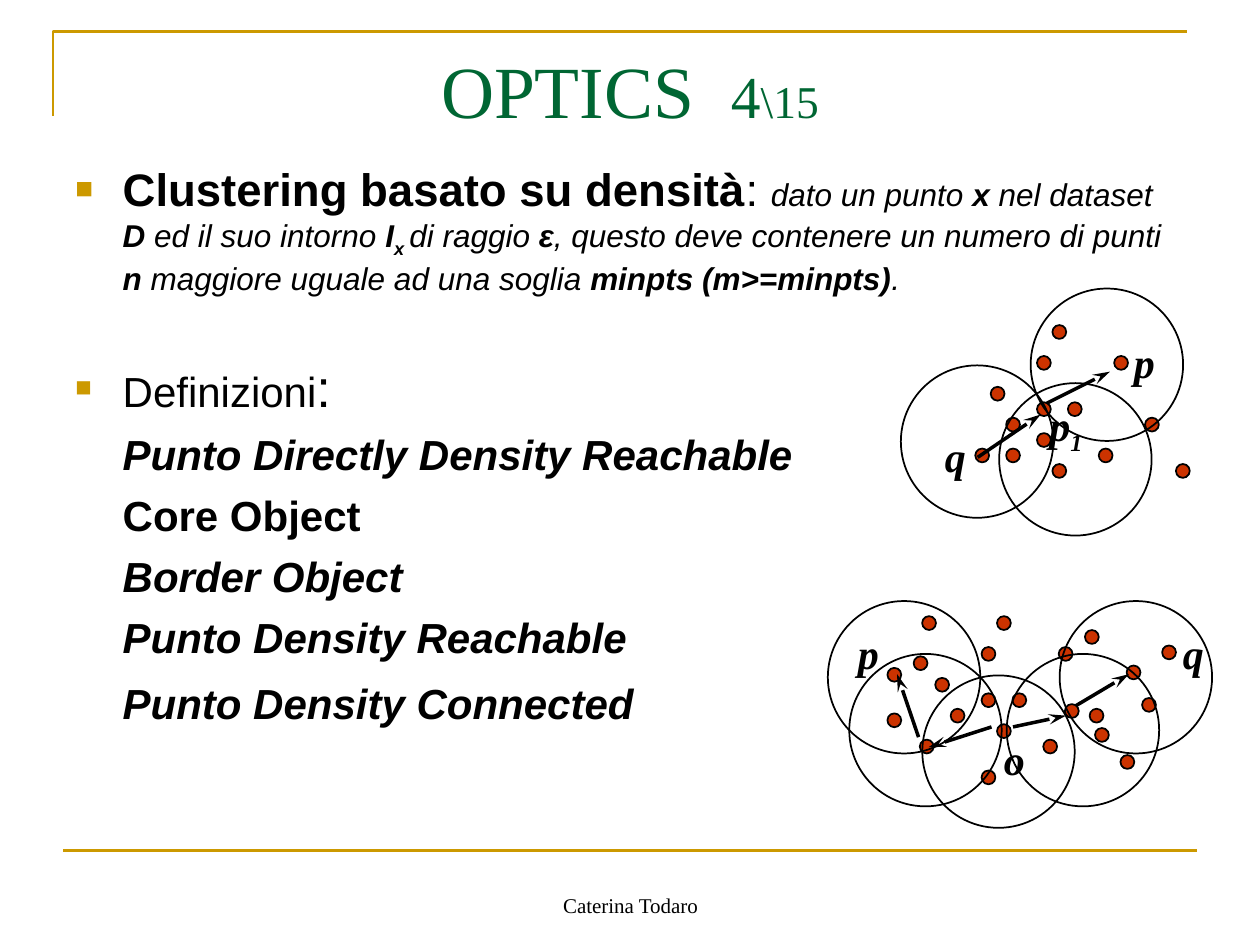
from dataclasses import dataclass
from lxml.etree import SubElement
from pptx import Presentation
from pptx.dml.color import RGBColor
from pptx.enum.shapes import MSO_CONNECTOR as Connector, MSO_SHAPE as Shape
from pptx.enum.text import MSO_ANCHOR as Anchor, PP_ALIGN as Align
from pptx.oxml.ns import qn
from pptx.util import Inches, Pt

BLACK, GOLD, GREEN, RED = "000000", "CC9900", "006633", "CC3300"
SERIF, SANS = "Times New Roman", "Arial"
STEP, DOT, RING = 0.1225, 0.11, 1.21
MARGIN = 0.375

Cell = tuple[float, float]


@dataclass
class Label:
    """A point's name, with an optional subscript, at a grid cell."""
    cell: Cell
    text: str
    sub: str = ""
    width: float = 0.42
    height: float = 0.5


@dataclass
class Cluster:
    """A point cloud on a square grid; arrows run from tail to tip."""
    origin: Cell
    dots: list[Cell]
    rings: list[Cell]
    arrows: list[tuple[Cell, Cell]]
    labels: list[Label]

    def at(self, cell: Cell) -> list[int]:
        """Turn a column and row into slide lengths."""
        return [Inches(o + STEP * n) for o, n in zip(self.origin, cell)]


@dataclass
class Para:
    """A body paragraph: runs of text and format, space before, bullet."""
    runs: list[tuple[str, dict]]
    before: float = 0
    bullet: bool = False


COMMON = [(1, 4), (4, 5), (4, 2), (0, 8), (2, 6), (5, 0), (11, 6), (9, 2),
          (6, 5), (8, 8), (13, 9)]

REACHABLE = Cluster(
    (7.74, 2.58),
    COMMON + [(2, 8), (5, 9), (4, 7)],
    [(1.55, 3.76), (-4.82, 2.61), (3.59, -2.37)],
    [((4.65, 5.06), (8.73, 3.02)), ((0.16, 8.57), (4.24, 5.8))],
    [Label((9.47, 0.33), "p"), Label((-2.78, 6.45), "q"),
     Label((4, 4.41), "p", "1", 0.67, 0.56)])

CONNECTED = Cluster(
    (7.3, 4.89),
    COMMON + [(4, 10), (5, 7), (-2.1, 6.3), (14.4, 5.3), (9.4, 5.7),
              (11.35, 7.25), (15.7, 1.9), (10.7, 0.9), (13.4, 3.2),
              (-0.4, 2.6), (-2.1, 3.35), (0.15, 0)],
    [(-4.57, 2.45), (0.16, 3.84), (5.63, 2.45), (9.06, -0.98), (-5.96, -0.98)],
    [((4.65, 7.18), (0.57, 8.49)), ((6.04, 7.18), (9.47, 6.45)),
     ((-0.08, 7.84), (-1.47, 3.76)), ((10.12, 5.8), (13.55, 3.76))],
    [Label((-4.82, 0.33), "p"), Label((16.24, 0.33), "q"),
     Label((4.65, 7.18), "o")])

NOTE = dict(size=18, italic=True)
TERM = dict(NOTE, bold=True)
HEAD = dict(size=24, bold=True, italic=True)

BODY = [
    Para([("Clustering basato su densità", dict(size=26, bold=True)),
          (": ", dict(size=26)), ("dato un punto ", NOTE), ("x", TERM),
          (" nel dataset ", NOTE), ("D", TERM),
          (" ed il suo intorno ", NOTE), ("I", TERM),
          ("x ", dict(TERM, base=-25)), ("di raggio ", NOTE), ("ε", TERM),
          (", questo deve contenere un numero di punti ", NOTE), ("n", TERM),
          (" maggiore uguale ad una soglia ", NOTE),
          ("minpts (m>=minpts)", TERM), (".", NOTE)], bullet=True),
    Para([("Definizioni", dict(size=24)), (":", dict(size=30))], 33.5, True),
    Para([("Punto Directly Density Reachable", HEAD)], 6),
    Para([("Core Object", dict(HEAD, italic=False))], 6),
    Para([("Border Object", HEAD)], 6),
    Para([("Punto Density Reachable", HEAD)], 6),
    Para([("Punto Density Connected", HEAD)], 9),
]


def rgb(code: str) -> RGBColor:
    """Return a colour from its hex string."""
    return RGBColor.from_string(code)


def add_run(p, text: str, *, size: float, font: str = SANS, color: str = BLACK,
            bold: bool = False, italic: bool = False, base: int = 0) -> None:
    """Add formatted text to a paragraph; base shifts it in percent."""
    r = p.add_run()
    r.text = text
    f = r.font
    f.size, f.name, f.bold, f.italic = Pt(size), font, bold, italic
    f.color.rgb = rgb(color)
    if base:
        r._r.get_or_add_rPr().set("baseline", str(base * 1000))


def add_box(shapes, left: int, top: int, width: int, height: int, inset: float = 0.05):
    """Add a wrapping text box and return its frame."""
    tf = shapes.add_textbox(left, top, width, height).text_frame
    tf.word_wrap = True
    tf.margin_top = Inches(inset)
    return tf


def style_line(sp, color: str, width: float) -> None:
    """Set line colour and width, and drop the shadow."""
    sp.line.color.rgb = rgb(color)
    sp.line.width = Pt(width)
    sp_pr = sp._element.spPr
    if sp_pr.find(qn("a:effectLst")) is None:
        SubElement(sp_pr, qn("a:effectLst"))


def add_circle(shapes, pos: list[int], size: float, fill: str = "") -> None:
    """Draw a thin black circle, filled if a colour is given."""
    sp = shapes.add_shape(Shape.OVAL, *pos, Inches(size), Inches(size))
    if fill:
        sp.fill.solid()
        sp.fill.fore_color.rgb = rgb(fill)
    else:
        sp.fill.background()
    style_line(sp, BLACK, 1)


def add_line(shapes, start, end, color: str, width: float, arrow: bool = False) -> None:
    """Draw a straight line, with a stealth tip at its end if asked."""
    sp = shapes.add_connector(Connector.STRAIGHT, *start, *end)
    style_line(sp, color, width)
    if arrow:
        SubElement(sp.line._get_or_add_ln(), qn("a:tailEnd"), type="stealth", w="med", len="lg")


def draw_cluster(shapes, c: Cluster) -> None:
    """Draw the dots, neighbourhoods, arrows and names of a cluster."""
    for cell in c.dots:
        add_circle(shapes, c.at(cell), DOT, RED)
    for cell in c.rings:
        add_circle(shapes, c.at(cell), RING)
    for tail, tip in c.arrows:
        add_line(shapes, c.at(tail), c.at(tip), BLACK, 2, arrow=True)
    fmt = dict(size=24, font=SERIF, bold=True, italic=True)
    for lb in c.labels:
        tf = add_box(shapes, *c.at(lb.cell), Inches(lb.width), Inches(lb.height))
        add_run(tf.paragraphs[0], lb.text, **fmt)
        if lb.sub:
            add_run(tf.paragraphs[0], lb.sub, base=-25, **fmt)


def draw_body(tf, paras: list[Para]) -> None:
    """Fill the body with bulleted and plain paragraphs."""
    for i, para in enumerate(paras):
        p = tf.add_paragraph() if i else tf.paragraphs[0]
        if para.before:
            p.space_before = Pt(para.before)
        p_pr = p._p.get_or_add_pPr()
        p_pr.set("marL", str(Inches(MARGIN)))
        p_pr.set("indent", str(-Inches(MARGIN) if para.bullet else 0))
        if para.bullet:
            SubElement(SubElement(p_pr, qn("a:buClr")), qn("a:srgbClr"), val=GOLD)
            SubElement(p_pr, qn("a:buSzPct"), val="65000")
            SubElement(p_pr, qn("a:buFont"), typeface=SANS)
            SubElement(p_pr, qn("a:buChar"), char="■")
        for text, fmt in para.runs:
            add_run(p, text, **fmt)


def main() -> None:
    """Build and save the slide."""
    prs = Presentation()
    prs.slide_width, prs.slide_height = w, h = Inches(10), Inches(7.5)
    shapes = prs.slides.add_slide(prs.slide_layouts[6]).shapes

    left, top, right, bottom = (Inches(n) for n in (0.42, 0.25, 9.42, 0.92))
    corner = shapes.build_freeform(left, bottom)
    corner.add_line_segments([(left, top), (right, top)], close=False)
    sp = corner.convert_to_shape()
    sp.fill.background()
    style_line(sp, GOLD, 1.5)
    rule_y = int(h * 0.9)
    add_line(shapes, (int(w * 0.05), rule_y), (int(w * 0.95), rule_y), GOLD, 1.5)

    p = add_box(shapes, int(w * 0.05), int(h * 0.04), int(w * 0.9), Inches(1.25), 0.06).paragraphs[0]
    p.alignment = Align.CENTER
    for text, size in (("OPTICS  ", 42), ("4", 34), ("\\15", 26)):
        add_run(p, text, size=size, font=SERIF, color=GREEN)

    draw_body(add_box(shapes, int(w * 0.05), Inches(1.23), Inches(8.91), Inches(5.47)), BODY)
    draw_cluster(shapes, REACHABLE)
    draw_cluster(shapes.add_group_shape().shapes, CONNECTED)

    tf = add_box(shapes, Inches(3.42), Inches(6.83), Inches(3.17), Inches(0.5))
    tf.vertical_anchor = Anchor.BOTTOM
    tf.paragraphs[0].alignment = Align.CENTER
    add_run(tf.paragraphs[0], "Caterina Todaro", size=12, font=SERIF)
    prs.save("out.pptx")


if __name__ == "__main__":
    main()
